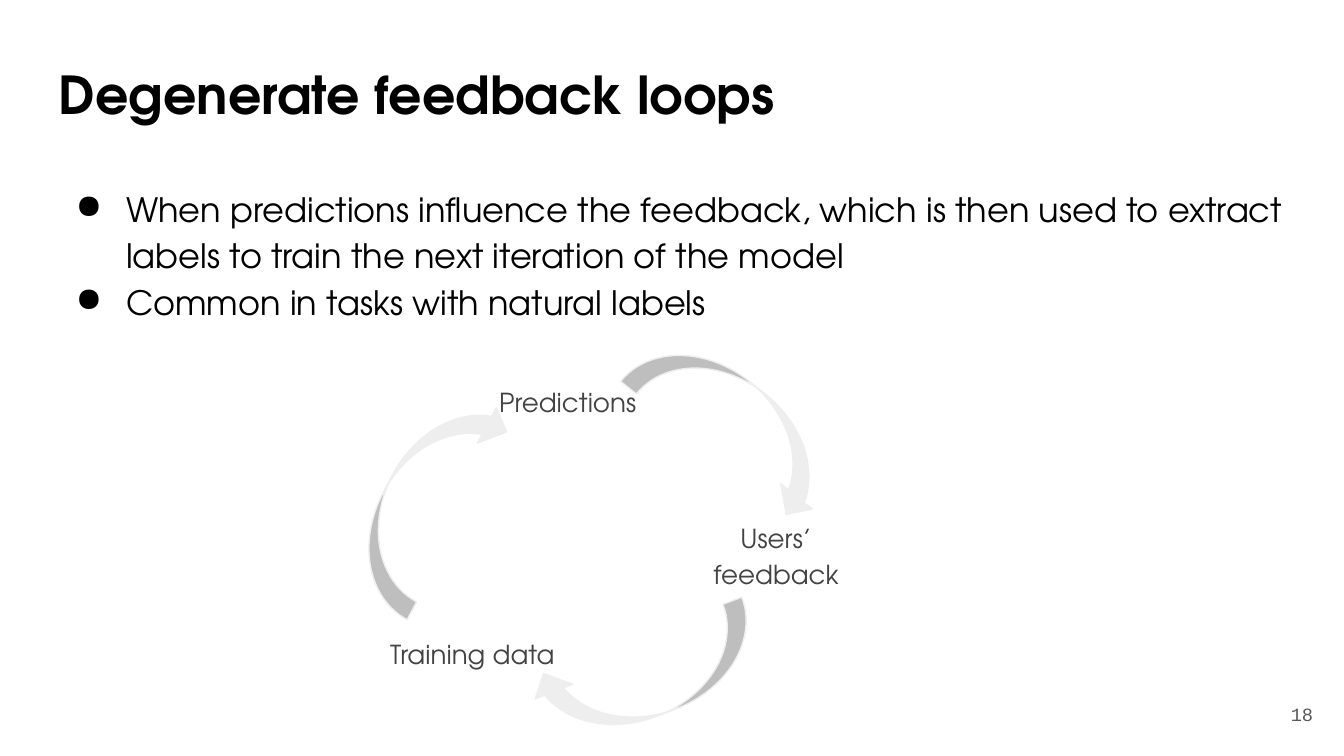
from lxml import etree
from pptx import Presentation
from pptx.dml.color import RGBColor
from pptx.enum.shapes import MSO_SHAPE
from pptx.enum.text import MSO_ANCHOR, PP_ALIGN
from pptx.oxml.ns import qn
from pptx.util import Pt

ARROW = MSO_SHAPE.CURVED_LEFT_ARROW
LEFT, CENTER, RIGHT = PP_ALIGN.LEFT, PP_ALIGN.CENTER, PP_ALIGN.RIGHT
TOP, MIDDLE = MSO_ANCHOR.TOP, MSO_ANCHOR.MIDDLE

THEME = {
    "font": "TeX Gyre Adventor",
    "number_font": "Courier New",
    "text": "000000",
    "label": "434343",
    "number": "595959",
    "arrow": "EEEEEE",
    "title_size": 28,
    "body_size": 18,
    "label_size": 14,
    "number_size": 10,
}

# Boxes are left, top, width, height in points.
TITLE = ("Degenerate feedback loops", (24.5, 26, 671, 38))
BULLETS = [
    "When predictions influence the feedback, which is then used to extract "
    "labels to train the next iteration of the model",
    "Common in tasks with natural labels",
]
BULLETS_BOX = (24.5, 90.7, 671, 90)
PAGE_NUMBER = ("18", (667.4, 367.2, 43.2, 31))

LABEL_WIDTH = 111.6
LABELS = [  # text, left, top, height
    ("Predictions", 248.4, 197.3, 31),
    ("Users’ feedback", 360, 270, 43.2),
    ("Training data", 197.3, 332.6, 31),
]

ARROW_SIZE = (43.2, 124.6)
ARROW_ADJUSTMENTS = (0.25, 0.5, 0.254)
ARROWS = [  # left, top, rotation
    (373, 164.2, 308.8),
    (325.4, 300.2, 68.9),
    (206.6, 204.5, 207.9),
]


def color(name):
    return RGBColor.from_string(THEME[name])


def add_text(slide, lines, box, size, ink, font="font", bold=False,
             align=LEFT, anchor=TOP):
    """Add a wrapped text box with one paragraph per line."""
    text_frame = slide.shapes.add_textbox(*map(Pt, box)).text_frame
    text_frame.word_wrap = True
    text_frame.vertical_anchor = anchor
    text_frame.margin_left = text_frame.margin_right = Pt(7.2)
    text_frame.margin_top = text_frame.margin_bottom = Pt(7.2)
    text_frame.text = "\n".join(lines)
    for paragraph in text_frame.paragraphs:
        paragraph.alignment = align
        for run in paragraph.runs:
            run.font.name = THEME[font]
            run.font.size = Pt(THEME[size])
            run.font.bold = bold
            run.font.color.rgb = color(ink)
    return text_frame.paragraphs


def add_bullet(paragraph):
    properties = paragraph._p.get_or_add_pPr()
    properties.set("marL", str(Pt(36)))
    properties.set("indent", str(Pt(-27)))
    bullet_color = etree.SubElement(properties, qn("a:buClr"))
    etree.SubElement(bullet_color, qn("a:srgbClr"), val=THEME["text"])
    etree.SubElement(properties, qn("a:buChar"), char="●")


def add_arrow(slide, left, top, rotation):
    arrow = slide.shapes.add_shape(ARROW, *map(Pt, (left, top, *ARROW_SIZE)))
    arrow.rotation = rotation
    for index, value in enumerate(ARROW_ADJUSTMENTS):
        arrow.adjustments[index] = value
    arrow.shadow.inherit = False
    arrow.fill.solid()
    arrow.fill.fore_color.rgb = color("arrow")
    arrow.line.color.rgb = color("arrow")
    arrow.line.width = Pt(0.75)


def main():
    presentation = Presentation()
    presentation.slide_width, presentation.slide_height = Pt(720), Pt(405)
    slide = presentation.slides.add_slide(presentation.slide_layouts[6])

    title, title_box = TITLE
    add_text(slide, [title], title_box, "title_size", "text", bold=True)

    for paragraph in add_text(slide, BULLETS, BULLETS_BOX, "body_size", "text"):
        add_bullet(paragraph)
        paragraph.line_spacing = 1.15

    number, number_box = PAGE_NUMBER
    add_text(slide, [number], number_box, "number_size", "number",
             font="number_font", align=RIGHT, anchor=MIDDLE)

    for left, top, rotation in ARROWS:
        add_arrow(slide, left, top, rotation)

    for label, left, top, height in LABELS:
        box = (left, top, LABEL_WIDTH, height)
        for paragraph in add_text(slide, [label], box, "label_size", "label",
                                  align=CENTER):
            paragraph.line_spacing = 1.15

    presentation.save("out.pptx")


if __name__ == "__main__":
    main()
